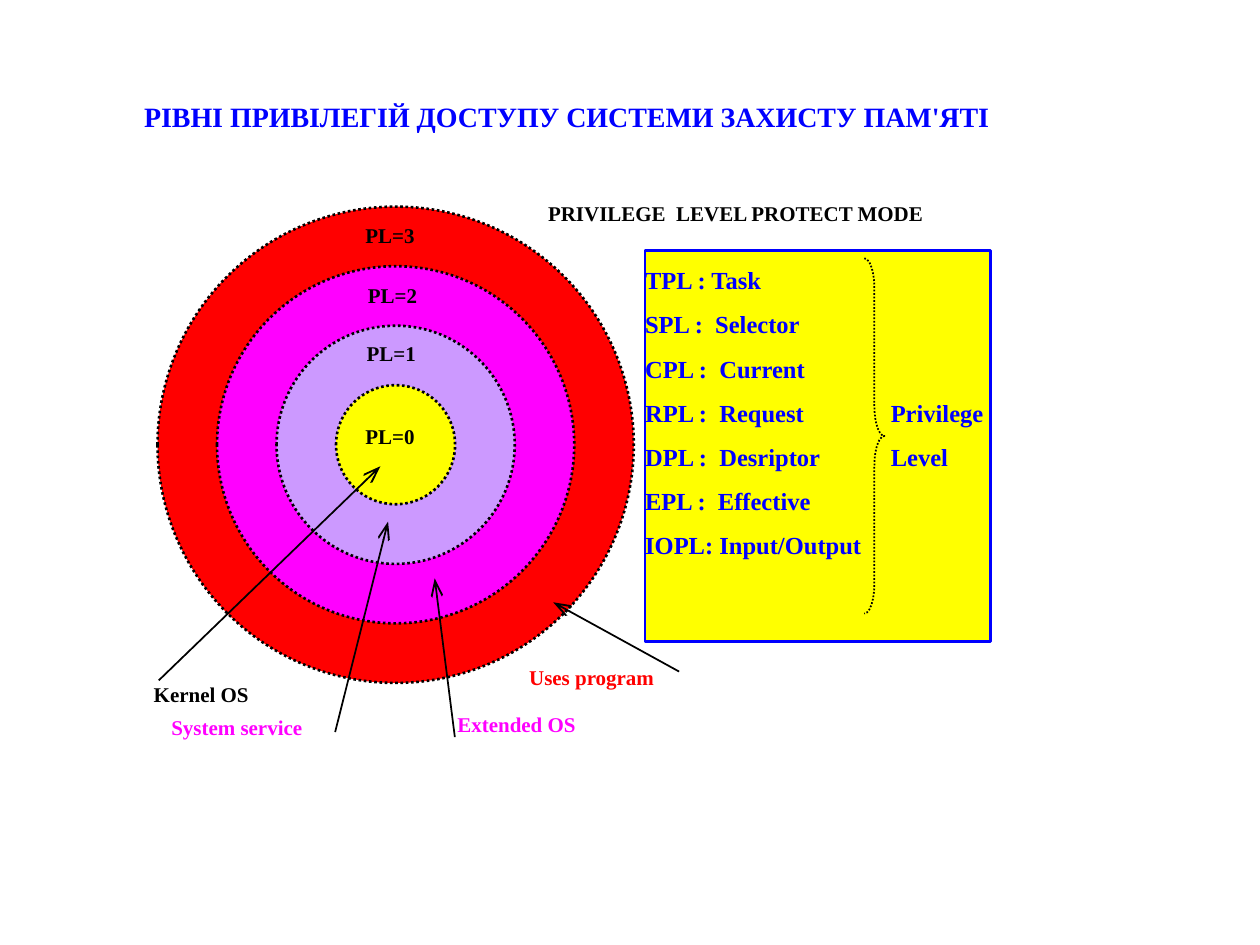
from pptx import Presentation
from pptx.dml.color import RGBColor
from pptx.enum.dml import MSO_LINE
from pptx.enum.shapes import MSO_CONNECTOR, MSO_SHAPE
from pptx.enum.text import MSO_ANCHOR, MSO_AUTO_SIZE, PP_ALIGN
from pptx.oxml.ns import qn
from pptx.util import Inches, Pt
from lxml.etree import SubElement

FONT = "Times New Roman"
BLACK, BLUE, RED = "000000", "0000FF", "FF0000"
MAGENTA, LILAC, YELLOW = "FF00FF", "CC99FF", "FFFF00"

TITLE = "РІВНІ ПРИВІЛЕГІЙ ДОСТУПУ СИСТЕМИ ЗАХИСТУ ПАМ'ЯТІ"
HEADING = "PRIVILEGE  LEVEL PROTECT MODE"
RINGS = [
    ("PL=3", RED, 2.9, 1.77),
    ("PL=2", MAGENTA, 2.92, 2.24),
    ("PL=1", LILAC, 2.91, 2.7),
    ("PL=0", YELLOW, 2.9, 3.36),
]
CALLOUTS = [
    ("Extended OS", MAGENTA, (3.63, 5.65, 1.12), (3.61, 5.85), (3.45, 4.59)),
    ("System service", MAGENTA, (1.36, 5.67, 1.23), (2.66, 5.81), (3.08, 4.14)),
    ("Kernel OS", BLACK, (1.22, 5.41, 0.92), (1.26, 5.4), (3.02, 3.7)),
    ("Uses program", RED, (4.2, 5.27, 1.23), (5.39, 5.33), (4.39, 4.78)),
]
LEVELS = [
    "TPL : Task",
    "SPL :  Selector",
    "CPL :  Current",
    "RPL :  Request\tPrivilege",
    "DPL :  Desriptor\tLevel",
    "EPL :  Effective",
    "IOPL: Input/Output",
]
CENTER_X, CENTER_Y, RING_STEP = 3.14, 3.53, 0.4725
LEVEL_TAB = 1.95


def color(value):
    return RGBColor.from_string(value)


def inches(*values):
    return [Inches(value) for value in values]


def write(shape, text, size, ink, align=PP_ALIGN.LEFT, spacing=None):
    frame = shape.text_frame
    frame.text = text
    frame.word_wrap = True
    frame.auto_size = MSO_AUTO_SIZE.NONE
    frame.vertical_anchor = MSO_ANCHOR.TOP
    frame.margin_left = frame.margin_right = 0
    frame.margin_top = frame.margin_bottom = 0
    for paragraph in frame.paragraphs:
        paragraph.alignment = align
        paragraph.line_spacing = spacing
        for run in paragraph.runs:
            run.font.name, run.font.size, run.font.bold = FONT, Pt(size), True
            run.font.color.rgb = color(ink)


def add_label(slide, text, box, ink, fill=None):
    label = slide.shapes.add_textbox(*inches(*box))
    write(label, text, 12, ink)
    if fill:
        label.fill.solid()
        label.fill.fore_color.rgb = color(fill)


def add_outline(slide, preset, box, fill, ink, width, dash=None):
    shape = slide.shapes.add_shape(preset, *inches(*box))
    shape.shadow.inherit = False
    if fill:
        shape.fill.solid()
        shape.fill.fore_color.rgb = color(fill)
    else:
        shape.fill.background()
    shape.line.color.rgb = color(ink)
    shape.line.width = Pt(width)
    shape.line.dash_style = dash
    return shape


def add_arrow(slide, start, tip):
    arrow = slide.shapes.add_connector(MSO_CONNECTOR.STRAIGHT, *inches(*start, *tip))
    arrow.line.color.rgb = color(BLACK)
    arrow.line.width = Pt(1)
    SubElement(arrow.line._get_or_add_ln(), qn("a:tailEnd"), type="arrow", w="med", len="lg")
    SubElement(arrow._element.spPr, qn("a:effectLst"))


def add_rings(slide):
    for index, (text, fill, left, top) in enumerate(RINGS):
        radius = RING_STEP * (len(RINGS) - index)
        box = (CENTER_X - radius, CENTER_Y - radius, 2 * radius, 2 * radius)
        add_outline(slide, MSO_SHAPE.OVAL, box, fill, BLACK, 1.5, MSO_LINE.ROUND_DOT)
        add_label(slide, text, (left, top, 0.47, 0.24), BLACK, fill)


def add_levels(slide):
    panel = add_outline(slide, MSO_SHAPE.RECTANGLE, (5.12, 1.99, 2.74, 3.1), YELLOW, BLUE, 1.5)
    write(panel, "\n".join(LEVELS), 14, BLUE, spacing=1.5)
    for paragraph in panel.text_frame.paragraphs:
        if "\t" in paragraph.text:
            stops = SubElement(paragraph._p.get_or_add_pPr(), qn("a:tabLst"))
            SubElement(stops, qn("a:tab"), pos=str(Inches(LEVEL_TAB)), algn="l")
    brace = add_outline(slide, MSO_SHAPE.RIGHT_BRACE, (6.86, 2.05, 0.16, 2.82),
                        None, BLACK, 1, MSO_LINE.ROUND_DOT)
    brace.adjustments[0] = 1.5


def main():
    deck = Presentation()
    deck.slide_width, deck.slide_height = inches(10, 7.5)
    slide = deck.slides.add_slide(deck.slide_layouts[5])

    title = slide.shapes.title
    title.left, title.top, title.width, title.height = inches(1.09, 0.79, 6.82, 0.27)
    write(title, TITLE, 16, BLUE, PP_ALIGN.CENTER)

    add_rings(slide)
    for text, ink, (left, top, width), start, tip in CALLOUTS:
        add_arrow(slide, start, tip)
        add_label(slide, text, (left, top, width, 0.25), ink)
    add_label(slide, HEADING, (4.35, 1.59, 3.86, 0.27), BLACK)
    add_levels(slide)
    deck.save("out.pptx")


if __name__ == "__main__":
    main()
